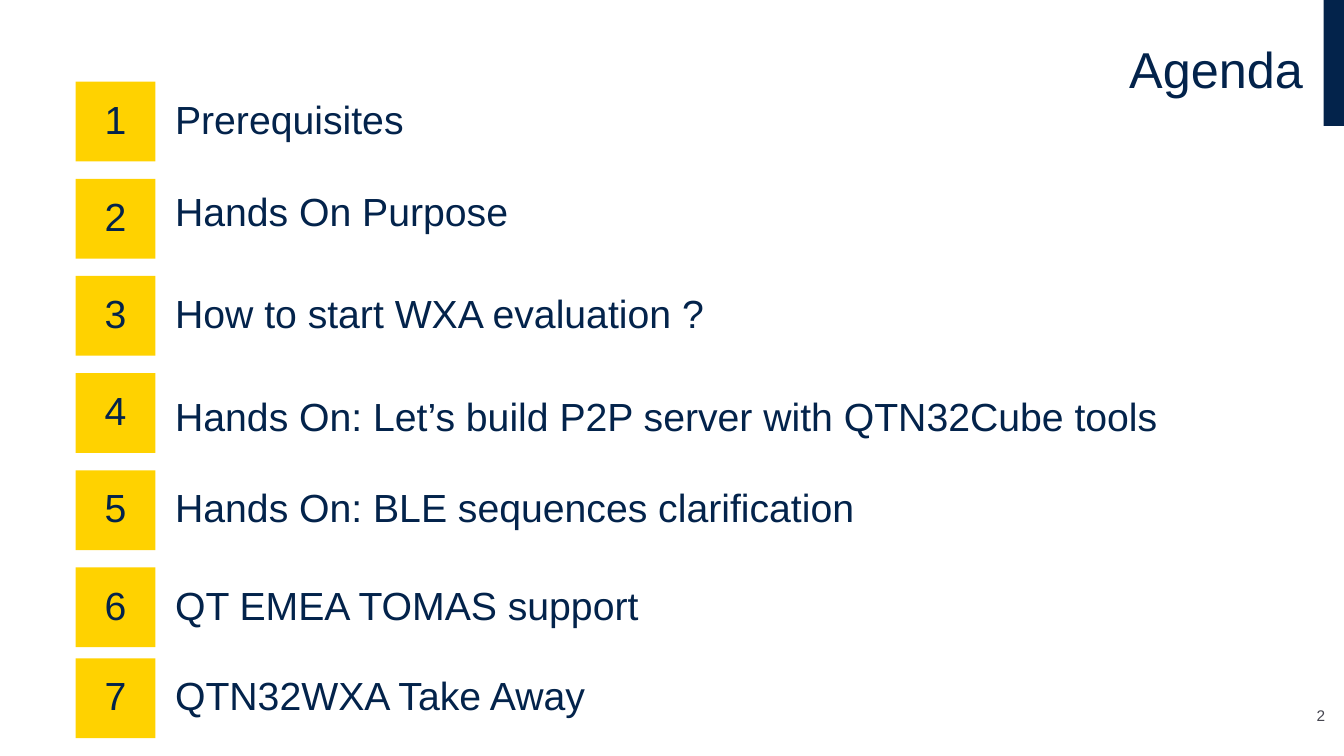
from dataclasses import dataclass

from pptx import Presentation
from pptx.dml.color import RGBColor
from pptx.enum import shapes, text
from pptx.util import Pt


@dataclass(frozen=True)
class Theme:
    navy: RGBColor = RGBColor(0x03, 0x23, 0x4B)
    yellow: RGBColor = RGBColor(0xFF, 0xD2, 0x00)
    gray: RGBColor = RGBColor(0x46, 0x46, 0x50)
    font: str = "Arial"
    title_size: float = 36
    item_size: float = 28
    page_size: float = 11


THEME = Theme()

# Agenda grid, in points
TILE_LEFT, TILE_SIZE = 54, 57
LABEL_LEFT = 118
FIRST_TOP, PITCH = 58.3, 69.4
LAST_TOP = 470.2  # the last row sits a little closer

# Wording, label width, vertical shift of the label
AGENDA = [
    ("Prerequisites", 374, 0),
    ("Hands On Purpose", 518, -3.8),
    ("How to start WXA evaluation ?", 477, 0),
    ("Hands On: Let’s build P2P server with QTN32Cube tools", 788, 4),
    ("Hands On: BLE sequences clarification", 821.5, 0),
    ("QT EMEA TOMAS support", 821.5, 0),
    ("QTN32WXA Take Away", 821.5, 0),
]


def write(shape, wording, size, color=THEME.navy, align=text.PP_ALIGN.LEFT,
          anchor=text.MSO_ANCHOR.MIDDLE, side_inset=7.2, line_spacing=0.9):
    frame = shape.text_frame
    frame.word_wrap = True
    frame.vertical_anchor = anchor
    frame.margin_left = frame.margin_right = Pt(side_inset)
    frame.margin_top = frame.margin_bottom = Pt(3.6)
    paragraph = frame.paragraphs[0]
    paragraph.text = wording
    paragraph.alignment = align
    paragraph.line_spacing = line_spacing
    paragraph.font.name = THEME.font
    paragraph.font.size = Pt(size)
    paragraph.font.color.rgb = color


def add_label(slide, box, wording, size, **style):
    write(slide.shapes.add_textbox(*map(Pt, box)), wording, size, **style)


def add_block(slide, box, color):
    shape = slide.shapes.add_shape(shapes.MSO_SHAPE.RECTANGLE, *map(Pt, box))
    shape.shadow.inherit = False
    shape.fill.solid()
    shape.fill.fore_color.rgb = color
    shape.line.fill.background()
    return shape


def add_agenda_item(slide, number, top, wording, width, shift):
    tile = add_block(slide, (TILE_LEFT, top, TILE_SIZE, TILE_SIZE), THEME.yellow)
    write(tile, str(number), THEME.item_size,
          align=text.PP_ALIGN.CENTER, side_inset=0)
    add_label(slide, (LABEL_LEFT, top + shift, width, TILE_SIZE),
              wording, THEME.item_size)


def main():
    presentation = Presentation()
    presentation.slide_width, presentation.slide_height = Pt(960), Pt(540)
    slide = presentation.slides.add_slide(presentation.slide_layouts[6])

    # Title and corner bar
    add_block(slide, (945.4, 0, 14.6, 90), THEME.navy)
    add_label(slide, (23.8, 0, 914, 103), "Agenda", THEME.title_size,
              align=text.PP_ALIGN.RIGHT)

    # Numbered agenda
    for index, item in enumerate(AGENDA):
        is_last = index == len(AGENDA) - 1
        top = LAST_TOP if is_last else FIRST_TOP + index * PITCH
        add_agenda_item(slide, index + 1, top, *item)

    # Page number
    add_label(slide, (914, 498, 32.6, 23), "2", THEME.page_size,
              color=THEME.gray, align=text.PP_ALIGN.RIGHT,
              anchor=text.MSO_ANCHOR.BOTTOM, side_inset=0, line_spacing=1.0)

    presentation.save("out.pptx")


if __name__ == "__main__":
    main()
